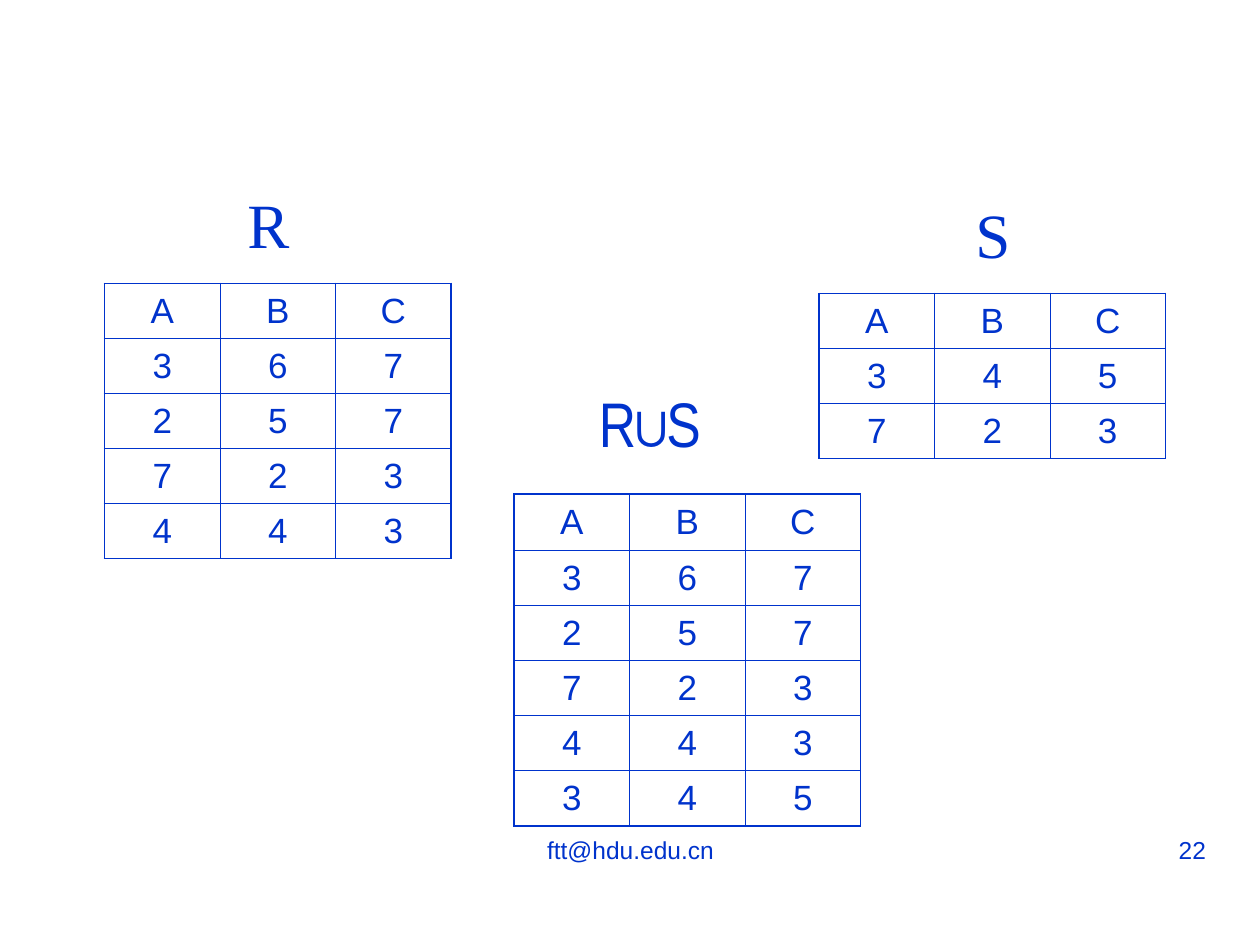
from dataclasses import dataclass

from lxml.etree import SubElement
from pptx import Presentation
from pptx.dml.color import RGBColor
from pptx.enum.text import MSO_ANCHOR as Anchor, PP_ALIGN as Align
from pptx.oxml.ns import qn
from pptx.util import Inches, Pt


@dataclass(frozen=True)
class Theme:
    ink: str = "0033CC"
    body_font: str = "Arial"
    name_font: str = "Times New Roman"
    narrow_font: str = "Arial Narrow"
    footer_size: int = 14
    cell_size: int = 20
    name_size: int = 36
    outer_line: float = 1.08
    inner_line: float = 0.45


THEME = Theme()
COLUMN_WIDTH = Inches(2.75) // 3
ROW_HEIGHT = Inches(1.31) // 3

HEADER = "ABC"
R_ROWS = ["367", "257", "723", "443"]
S_ROWS = ["345", "723"]
# The union keeps each distinct row once
UNION_ROWS = R_ROWS + [row for row in S_ROWS if row not in R_ROWS]


def write_text(frame, text, size, font, align):
    para = frame.paragraphs[0]
    para.alignment = align
    span = para.add_run()
    span.text = text
    span.font.size = Pt(size)
    span.font.name = font
    span.font.color.rgb = RGBColor.from_string(THEME.ink)


def add_label(page, text, left, top, width, height, size, font, align=Align.CENTER):
    box = page.shapes.add_textbox(
        Inches(left), Inches(top), Inches(width), Inches(height))
    box.text_frame.word_wrap = True
    write_text(box.text_frame, text, size, font, align)


def set_border(cell, side, width):
    properties = cell._tc.get_or_add_tcPr()
    line = SubElement(properties, qn(f"a:ln{side}"), w=str(Pt(width)))
    fill = SubElement(line, qn("a:solidFill"))
    SubElement(fill, qn("a:srgbClr"), val=THEME.ink)


def add_relation(page, rows, left, top, header_height=ROW_HEIGHT):
    lines = [HEADER, *rows]
    last_row, last_column = len(lines) - 1, len(HEADER) - 1
    table = page.shapes.add_table(
        len(lines), len(HEADER), Inches(left), Inches(top),
        COLUMN_WIDTH * len(HEADER), header_height + ROW_HEIGHT * len(rows)).table
    table.first_row = table.horz_banding = False
    for column in table.columns:
        column.width = COLUMN_WIDTH
    for r, line in enumerate(lines):
        table.rows[r].height = ROW_HEIGHT if r else header_height
        for c, value in enumerate(line):
            cell = table.cell(r, c)
            cell.vertical_anchor = Anchor.MIDDLE
            write_text(cell.text_frame, value, THEME.cell_size,
                       THEME.body_font, Align.CENTER)
            # Heavier lines only around the outside of the table
            outside = {"L": c == 0, "R": c == last_column,
                       "T": r == 0, "B": r == last_row}
            for side, is_outer in outside.items():
                set_border(cell, side,
                           THEME.outer_line if is_outer else THEME.inner_line)
            cell.fill.background()


def main():
    deck = Presentation()
    deck.slide_width, deck.slide_height = Inches(10), Inches(7.5)
    page = deck.slides.add_slide(deck.slide_layouts[6])

    # Footer
    add_label(page, "ftt@hdu.edu.cn", 3.42, 6.58, 3.17, 0.52,
              THEME.footer_size, THEME.body_font)
    add_label(page, "22", 7.17, 6.58, 2.5, 0.52,
              THEME.footer_size, THEME.body_font, Align.RIGHT)

    # The two relations
    add_relation(page, R_ROWS, 0.83, 2.25)
    add_label(page, "R", 1.67, 1.42, 0.92, 0.7, THEME.name_size, THEME.name_font)
    add_relation(page, S_ROWS, 6.5, 2.33)
    add_label(page, "S", 7.42, 1.5, 0.92, 0.7, THEME.name_size, THEME.name_font)

    # Their union
    add_relation(page, UNION_ROWS, 4.08, 3.92, header_height=Inches(0.45))
    add_label(page, "R∪S ", 4.33, 3, 1.77, 0.7, THEME.name_size, THEME.narrow_font)

    deck.save("out.pptx")


if __name__ == "__main__":
    main()
